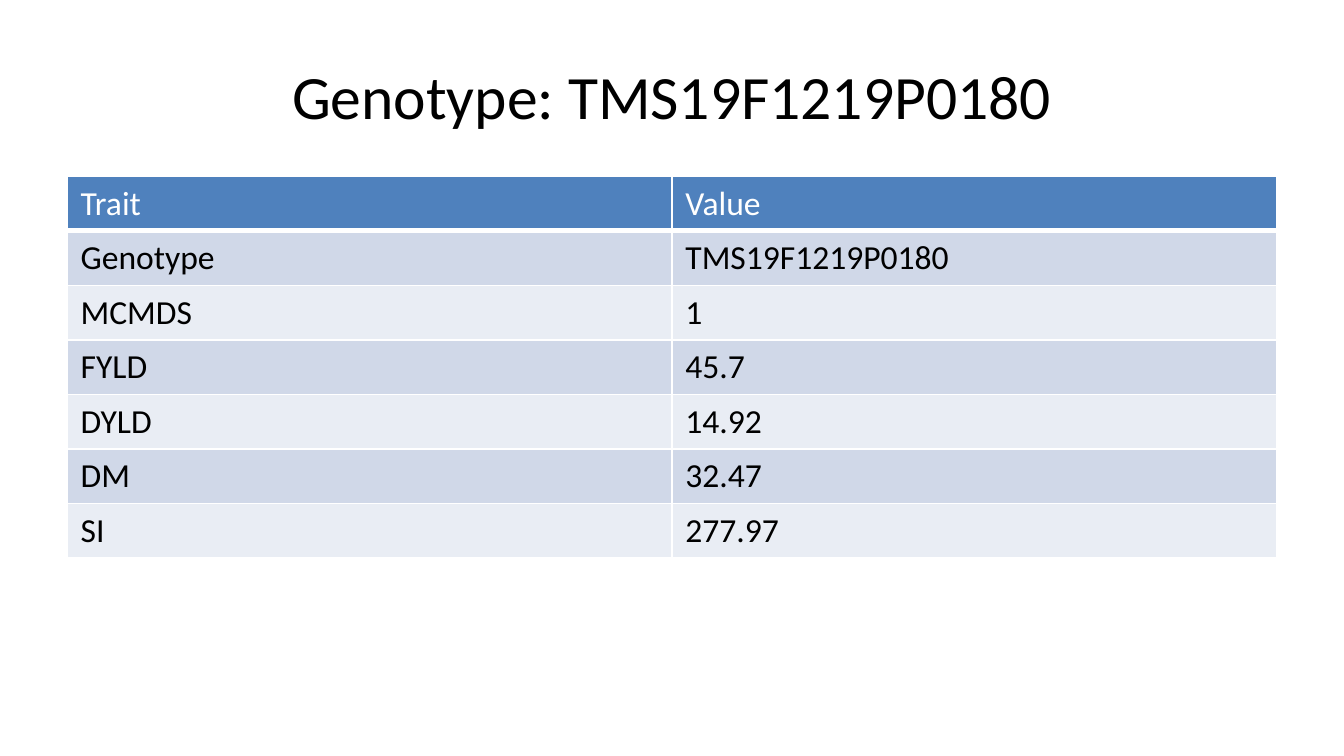
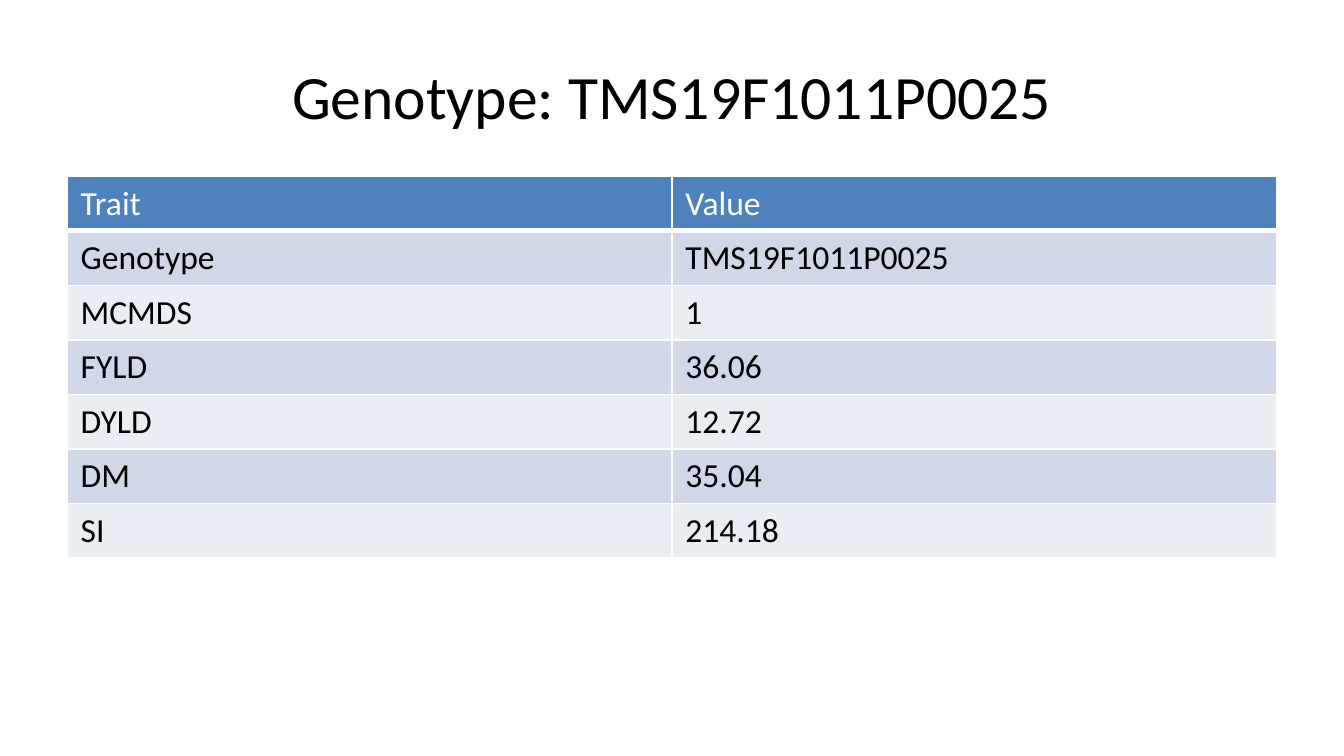
import pptx
import pptx.dml.color
import pptx.enum.text
import pptx.oxml
import pptx.oxml.ns
import pptx.util

RGB = pptx.dml.color.RGBColor
BLACK = RGB(0x00, 0x00, 0x00)
WHITE = RGB(0xFF, 0xFF, 0xFF)
HEADER_BLUE = RGB(0x4F, 0x81, 0xBD)
BAND_DARK = RGB(0xD0, 0xD8, 0xE8)
BAND_LIGHT = RGB(0xE9, 0xED, 0xF4)

SLIDE_WIDTH = pptx.util.Inches(10)
SLIDE_HEIGHT = pptx.util.Inches(5.625)
COLUMN = SLIDE_WIDTH / 20
ROW = SLIDE_HEIGHT / 24

# Boxes in grid columns and rows: left, top, width, height
TITLE_BOX = (1, 1, 18, 4)
TRAIT_ROW_HEIGHT = 1.73

TITLE_FONT = {"name": "Calibri", "size": pptx.util.Pt(33), "bold": False}
CELL_FONT = {"name": "Calibri", "size": pptx.util.Pt(18), "bold": False}

TRAITS = ("Genotype", "MCMDS", "FYLD", "DYLD", "DM", "SI")
GENOTYPES = (
    ("TMS19F1219P0180", "1", "45.7", "14.92", "32.47", "277.97"),
    ("TMS19F1011P0025", "1", "36.06", "12.72", "35.04", "214.18"),
)
TABLE_BOX = (1, 5.6, 18, TRAIT_ROW_HEIGHT * (len(TRAITS) + 1))


def grid_box(box):
    left, top, width, height = box
    return [pptx.util.Emu(round(length)) for length in
            (left * COLUMN, top * ROW, width * COLUMN, height * ROW)]


def format_font(font, values, color):
    for name, value in values.items():
        setattr(font, name, value)
    font.color.rgb = color


def add_borders(cell, bottom_points):
    properties = cell._tc.get_or_add_tcPr()
    widths = {"lnL": 1, "lnR": 1, "lnT": 1, "lnB": bottom_points}
    for position, (side, points) in enumerate(widths.items()):
        properties.insert(position, pptx.oxml.parse_xml(
            f'<a:{side} {pptx.oxml.ns.nsdecls("a")} w="{pptx.util.Pt(points)}">'
            f'<a:solidFill><a:srgbClr val="{WHITE}"/></a:solidFill></a:{side}>'))


def fill_title(slide, box, text):
    title = slide.shapes.title
    title.left, title.top, title.width, title.height = grid_box(box)
    title.text_frame.text = text
    title.text_frame.vertical_anchor = pptx.enum.text.MSO_ANCHOR.MIDDLE
    heading = title.text_frame.paragraphs[0]
    heading.alignment = pptx.enum.text.PP_ALIGN.CENTER
    format_font(heading.runs[0].font, TITLE_FONT, BLACK)


def add_trait_table(slide, box, values):
    records = [("Trait", "Value"), *zip(TRAITS, values)]
    traits = slide.shapes.add_table(len(records), 2, *grid_box(box)).table
    for index, record in enumerate(records):
        # Header row first, then alternating bands
        is_header = index == 0
        band = BAND_DARK if index % 2 else BAND_LIGHT
        for cell, text in zip(traits.rows[index].cells, record):
            cell.text = text
            cell.fill.solid()
            cell.fill.fore_color.rgb = HEADER_BLUE if is_header else band
            format_font(cell.text_frame.paragraphs[0].runs[0].font,
                        CELL_FONT, WHITE if is_header else BLACK)
            add_borders(cell, 3 if is_header else 1)


def add_genotype_slide(presentation, values):
    slide = presentation.slides.add_slide(
        presentation.slide_layouts.get_by_name("Title Only"))
    fill_title(slide, TITLE_BOX, f"Genotype: {values[0]}")
    add_trait_table(slide, TABLE_BOX, values)


def main():
    presentation = pptx.Presentation()
    presentation.slide_width = SLIDE_WIDTH
    presentation.slide_height = SLIDE_HEIGHT
    for values in GENOTYPES:
        add_genotype_slide(presentation, values)
    presentation.save("out.pptx")


if __name__ == "__main__":
    main()
